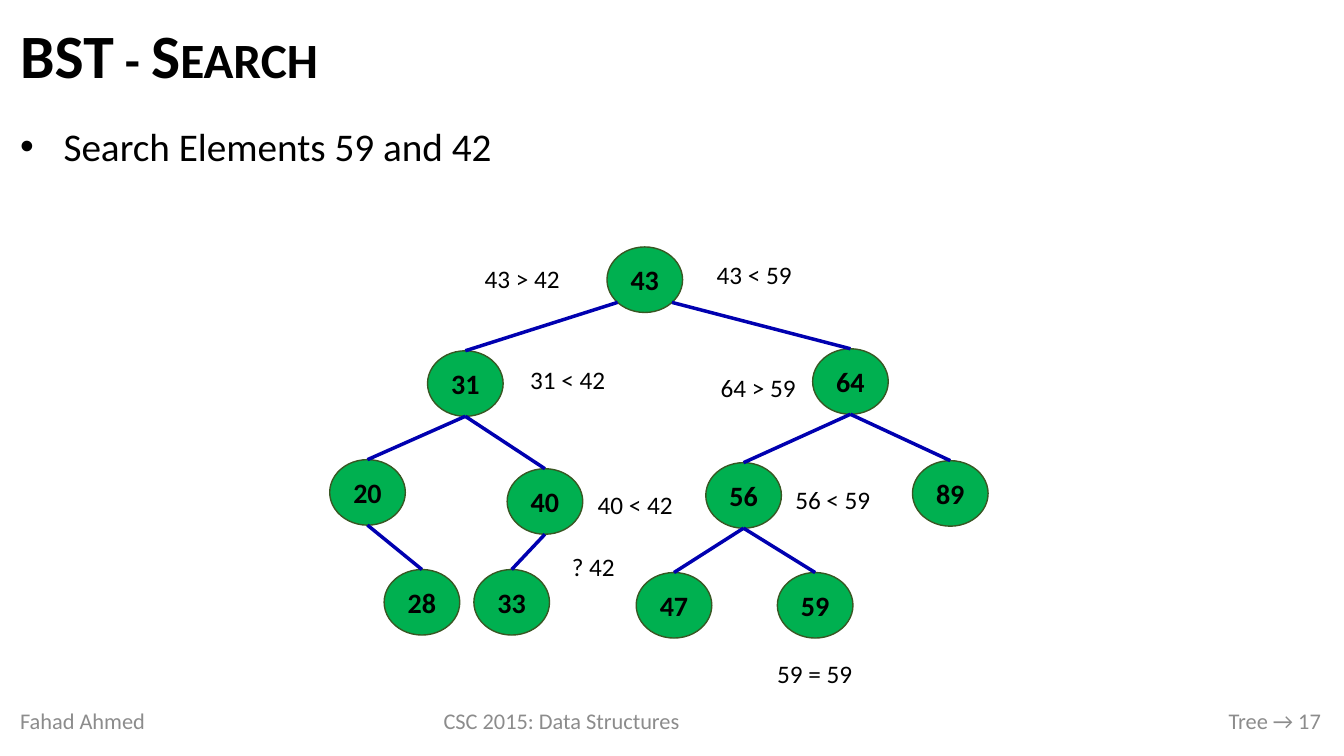
from lxml.etree import SubElement
from pptx import Presentation
from pptx.dml.color import RGBColor
from pptx.enum.shapes import MSO_CONNECTOR, MSO_SHAPE
from pptx.enum.text import MSO_ANCHOR as Anchor, MSO_AUTO_SIZE, PP_ALIGN as Align
from pptx.oxml.ns import qn
from pptx.util import Pt

PX = 9144  # 100 px to the inch
BLACK = RGBColor(0x00, 0x00, 0x00)
WHITE = RGBColor(0xFF, 0xFF, 0xFF)
GRAY = RGBColor(0x8C, 0x8C, 0x8C)
GREEN = RGBColor(0x00, 0xB0, 0x50)
DARK_GREEN = RGBColor(0x38, 0x57, 0x23)
BLUE = RGBColor(0x00, 0x00, 0xB0)

NODE_WIDTH, NODE_HEIGHT = 75, 65
# value: (left, top) within the tree's box
NODES = {
    43: (275, 0), 31: (97, 103), 64: (479, 101),
    20: (0, 211), 40: (176, 220), 56: (373, 214), 89: (578, 212),
    28: (54, 320), 33: (143, 320), 47: (304, 323), 59: (444, 323),
}
# parent, child, where the edge leaves the parent (-1 lower left, 0 bottom, 1 lower right)
EDGES = [
    (43, 31, -1), (43, 64, 1), (31, 20, 0), (31, 40, 0), (64, 56, 0),
    (64, 89, 0), (20, 28, 0), (40, 33, 0), (56, 47, 0), (56, 59, 0),
]
# text, left, top, width within the tree's box
COMPARISONS = [
    ("43 < 59", 373, 0, 96), ("64 > 59", 377, 112, 96),
    ("56 < 59", 451, 223, 96), ("59 = 59", 433, 396, 96),
    ("43 > 42", 143, 4, 96), ("31 < 42", 188, 104, 96),
    ("40 < 42", 255, 228, 96), ("? 42", 228, 289, 67),
]


def emu(*lengths):
    return [length * PX for length in lengths]


def place(shape, box):
    shape.left, shape.top, shape.width, shape.height = emu(*box)


def write(shape, text, size, color=BLACK, bold=False, align=Align.CENTER,
          anchor=Anchor.MIDDLE, inset=10):
    frame = shape.text_frame
    frame.word_wrap = True
    frame.auto_size = MSO_AUTO_SIZE.NONE
    frame.vertical_anchor = anchor
    frame.margin_left = frame.margin_right = inset * PX
    para = frame.paragraphs[0]
    para.alignment = align
    span = para.add_run()
    span.text = text
    span.font.name = "Calibri"
    span.font.size = Pt(size)
    span.font.bold = bold
    span.font.color.rgb = color
    return para


def add_title(page, box):
    title = page.shapes.title
    place(title, box)
    para = write(title, "BST - Search", 44, bold=True, align=Align.LEFT)
    para.line_spacing = 0.9
    para.runs[0].font._element.set("cap", "small")


def add_body(page, box):
    body = page.placeholders[1]
    place(body, box)
    para = write(body, "Search Elements 59 and 42", 28,
                 align=Align.JUSTIFY, anchor=Anchor.TOP)
    para.space_before = para.space_after = Pt(4)
    settings = para._p.get_or_add_pPr()
    settings.set("marL", str(43 * PX))
    settings.set("indent", str(-43 * PX))
    SubElement(settings, qn("a:buFont")).set("typeface", "Arial")
    SubElement(settings, qn("a:buChar")).set("char", "•")


def add_footer(page, box):
    left, top, width, height = box
    parts = [
        ("Fahad Ahmed", 0, 241, Align.LEFT),
        ("CSC 2015: Data Structures", 379, 336, Align.CENTER),
        ("Tree → 17", width - 549, 549, Align.RIGHT),
    ]
    for text, offset, part_width, align in parts:
        part = page.shapes.add_textbox(*emu(left + offset, top, part_width, height))
        write(part, text, 16, color=GRAY, align=align)


def add_node(page, value, left, top):
    node = page.shapes.add_shape(MSO_SHAPE.OVAL, *emu(left, top, NODE_WIDTH, NODE_HEIGHT))
    node.shadow.inherit = False
    node.fill.solid()
    node.fill.fore_color.rgb = GREEN
    node.line.color.rgb = DARK_GREEN
    node.line.width = Pt(1)
    write(node, str(value), 20, bold=True, inset=0)
    return node


def add_edge(page, parent, child, side):
    start_x = parent.left + parent.width // 2 + side * 27 * PX
    start_y = parent.top + (55 * PX if side else parent.height)
    edge = page.shapes.add_connector(
        MSO_CONNECTOR.STRAIGHT, start_x, start_y,
        child.left + child.width // 2, child.top)
    edge.end_connect(child, 0)
    edge.line.color.rgb = BLUE
    edge.line.width = Pt(2.5)
    SubElement(edge._element.spPr, qn("a:effectLst"))


def add_comparison(page, text, left, top, width):
    label = page.shapes.add_shape(MSO_SHAPE.RECTANGLE, *emu(left, top, width, 55))
    label.shadow.inherit = False
    label.fill.solid()
    label.fill.fore_color.rgb = WHITE
    label.line.fill.background()
    write(label, text, 18, inset=0)


def add_tree(page, left, top):
    nodes = {value: add_node(page, value, left + x, top + y)
             for value, (x, y) in NODES.items()}
    for parent, child, side in EDGES:
        add_edge(page, nodes[parent], nodes[child], side)
    for text, x, y, width in COMPARISONS:
        add_comparison(page, text, left + x, top + y, width)


def main():
    deck = Presentation()
    deck.slide_width, deck.slide_height = emu(1333, 750)
    page = deck.slides.add_slide(deck.slide_layouts[1])
    add_title(page, (10, 11, 1310, 95))
    add_body(page, (10, 116, 1310, 69))
    add_footer(page, (10, 695, 1310, 40))
    add_tree(page, 327, 245)
    deck.save("out.pptx")


if __name__ == "__main__":
    main()
